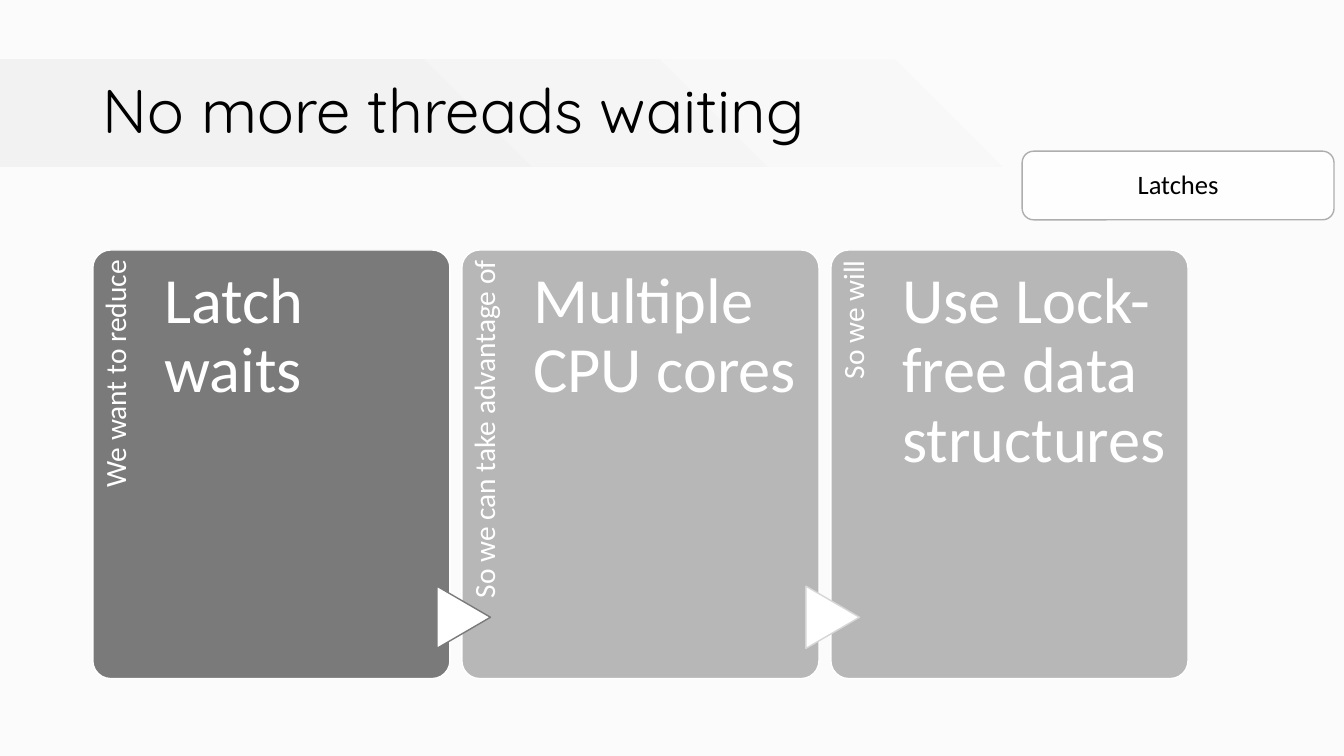
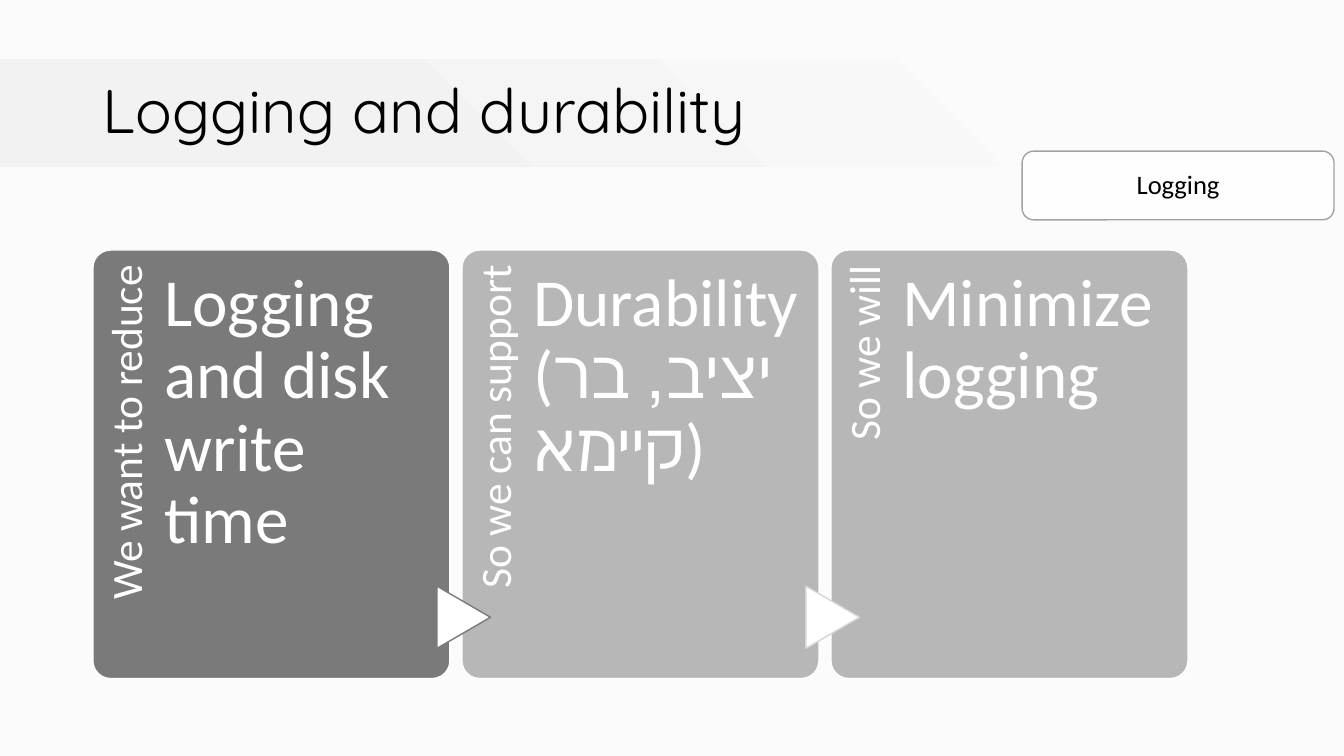
"""Builds two process slides about latch waits and logging."""
from dataclasses import dataclass

from lxml import etree
from pptx import Presentation
from pptx.dml.color import RGBColor
from pptx.enum.shapes import MSO_SHAPE
from pptx.enum.text import MSO_ANCHOR, MSO_AUTO_SIZE, PP_ALIGN
from pptx.oxml.ns import qn
from pptx.util import Cm, Pt

RECT, ROUNDED = MSO_SHAPE.RECTANGLE, MSO_SHAPE.ROUNDED_RECTANGLE
TRIANGLE = MSO_SHAPE.FLOWCHART_EXTRACT
LEFT, CENTER, RIGHT = PP_ALIGN.LEFT, PP_ALIGN.CENTER, PP_ALIGN.RIGHT
TOP, MIDDLE = MSO_ANCHOR.TOP, MSO_ANCHOR.MIDDLE
TITLE_ONLY = 5


@dataclass(frozen=True)
class Theme:
    """Colours, fonts and type sizes shared by the slides."""
    back: str = "FBFBFB"
    band: str = "F2F2F2"
    white: str = "FFFFFF"
    black: str = "000000"
    panels: tuple = ("7A7A7A", "B7B7B7", "B7B7B7")
    arrow_lines: tuple = ("7A7A7A", "D6D6D6")
    title_font: str = "Quicksand"
    body_font: str = "Calibri"
    title_size: int = 44
    badge_size: int = 19


THEME = Theme()
PANEL_LEFT, PANEL_TOP = Cm(2.34), Cm(6.3)
PANEL_W, PANEL_H, PANEL_STEP = Cm(9), Cm(10.8), Cm(9.3)
SPINE_LENGTH, SPINE_W = Cm(8.84), Cm(1.8)
HEADING_W = Cm(6.71)
ARROW_W, ARROW_H = Cm(1.57), Cm(1.35)
ARROW_SHIFT, ARROW_TOP = Cm(-0.74), Cm(14.88)
INSET_TOP, INSET_RIGHT = 0.27, 0.35

SLIDES = [
    dict(title="No more threads waiting", badge="Latches",
         badge_line="AEAEAE", spine_size=21, heading_size=46,
         panels=[("We want to reduce", "Latch waits"),
                 ("So we can take advantage of", "Multiple CPU cores"),
                 ("So we will", "Use Lock-free data structures")]),
    dict(title="Logging and durability", badge="Logging",
         badge_line="A2A2A2", spine_size=31, heading_size=48,
         panels=[("We want to reduce", "Logging and disk write time"),
                 ("So we can support", "Durability\v(יציב, בר קיימא)"),
                 ("So we will", "Minimize logging")]),
]


def rgb(value):
    """Return a colour from its hex value."""
    return RGBColor.from_string(value)


def add_box(shapes, kind, box, fill, line=None):
    """Add a flat preset shape with an optional thin outline."""
    shape = shapes.add_shape(kind, *box)
    shape.shadow.inherit = False
    shape.fill.solid()
    shape.fill.fore_color.rgb = rgb(fill)
    if line:
        shape.line.color.rgb = rgb(line)
        shape.line.width = Pt(1)
    else:
        shape.line.fill.background()
    return shape


def set_text(shape, text, size, color, font=THEME.body_font, align=LEFT,
             anchor=TOP, insets=None):
    """Write one formatted paragraph into a shape."""
    tf = shape.text_frame
    frame = dict(word_wrap=True, auto_size=MSO_AUTO_SIZE.NONE,
                 vertical_anchor=anchor)
    if insets:
        sides = ("margin_left", "margin_top", "margin_right", "margin_bottom")
        frame.update(zip(sides, insets))
    for name, value in frame.items():
        setattr(tf, name, value)
    p = tf.paragraphs[0]
    p.text = text
    p.alignment = align
    p.line_spacing = 0.9
    for r in p.runs:
        for name, value in dict(size=Pt(size), name=font).items():
            setattr(r.font, name, value)
        r.font.color.rgb = rgb(color)


def add_label(shapes, box, text, size, align=LEFT, right=0):
    """Add a white text box whose insets follow its type size."""
    label = shapes.add_textbox(*box)
    set_text(label, text, size, THEME.white, align=align,
             insets=(0, Pt(size * INSET_TOP), Pt(size * right), 0))
    return label


def style_layout(prs, layout, s):
    """Set the background, title place and gradient band of all slides."""
    fill = prs.slide_master.background.fill
    fill.solid()
    fill.fore_color.rgb = rgb(THEME.back)
    place = dict(left=Cm(2.34), top=Cm(1.02), width=Cm(29.21), height=Cm(3.68))
    for name, value in place.items():
        setattr(layout.placeholders[0], name, value)
    band = add_box(s.shapes, RECT, (Cm(-0.05), Cm(1.5), Cm(28.55), Cm(2.69)),
                   THEME.band)
    band.fill.gradient()
    stops = ((0.24, THEME.band), (1, THEME.back))
    for stop, (position, color) in zip(band.fill.gradient_stops, stops):
        stop.position = position
        stop.color.rgb = rgb(color)
    grad = band.element.spPr.find(qn("a:gradFill"))
    grad.remove(grad.find(qn("a:lin")))
    circle = etree.SubElement(grad, qn("a:path"), {"path": "circle"})
    etree.SubElement(circle, qn("a:fillToRect"), {"t": "100000", "r": "100000"})
    layout.shapes.element.insert(2, band.element)


def add_panel(shapes, index, spine, heading, spine_size, heading_size):
    """Add a panel with its upright label, heading and incoming arrow."""
    x = PANEL_LEFT + index * PANEL_STEP
    panel = add_box(shapes, ROUNDED, (x, PANEL_TOP, PANEL_W, PANEL_H),
                    THEME.panels[index], THEME.white)
    panel.adjustments[0] = 0.05
    turn = (SPINE_LENGTH - SPINE_W) // 2
    label = add_label(shapes, (x - turn, PANEL_TOP + turn, SPINE_LENGTH, SPINE_W),
                      spine, spine_size, RIGHT, INSET_RIGHT)
    label.rotation = 270
    if index:
        arrow = add_box(shapes, TRIANGLE,
                        (x + ARROW_SHIFT, ARROW_TOP, ARROW_W, ARROW_H),
                        THEME.white, THEME.arrow_lines[index - 1])
        arrow.rotation = 90
    add_label(shapes, (x + SPINE_W, PANEL_TOP, HEADING_W, PANEL_H),
              heading, heading_size)


def add_badge(s, text, line):
    """Add the translucent topic badge under the band."""
    badge = add_box(s.shapes, ROUNDED, (Cm(25.76), Cm(3.81), Cm(7.86), Cm(1.73)),
                    THEME.white, line)
    color = badge.element.spPr.find(qn("a:solidFill")).find(qn("a:srgbClr"))
    etree.SubElement(color, qn("a:alpha"), {"val": "90000"})
    set_text(badge, text, THEME.badge_size, THEME.black, align=CENTER,
             anchor=MIDDLE, insets=[Cm(0.28)] * 4)


def fill_slide(s, content):
    """Place the title, panels and badge of one slide."""
    set_text(s.shapes.title, content["title"], THEME.title_size, THEME.black,
             font=THEME.title_font, anchor=MIDDLE)
    group = s.shapes.add_group_shape()
    for index, (spine, heading) in enumerate(content["panels"]):
        add_panel(group.shapes, index, spine, heading,
                  content["spine_size"], content["heading_size"])
    add_badge(s, content["badge"], content["badge_line"])


def main():
    """Build and save the presentation."""
    prs = Presentation()
    prs.slide_width, prs.slide_height = Cm(33.87), Cm(19.05)
    layout = prs.slide_layouts[TITLE_ONLY]
    slides = [prs.slides.add_slide(layout) for _ in SLIDES]
    style_layout(prs, layout, slides[0])
    for s, content in zip(slides, SLIDES):
        fill_slide(s, content)
    prs.save("out.pptx")


if __name__ == "__main__":
    main()
